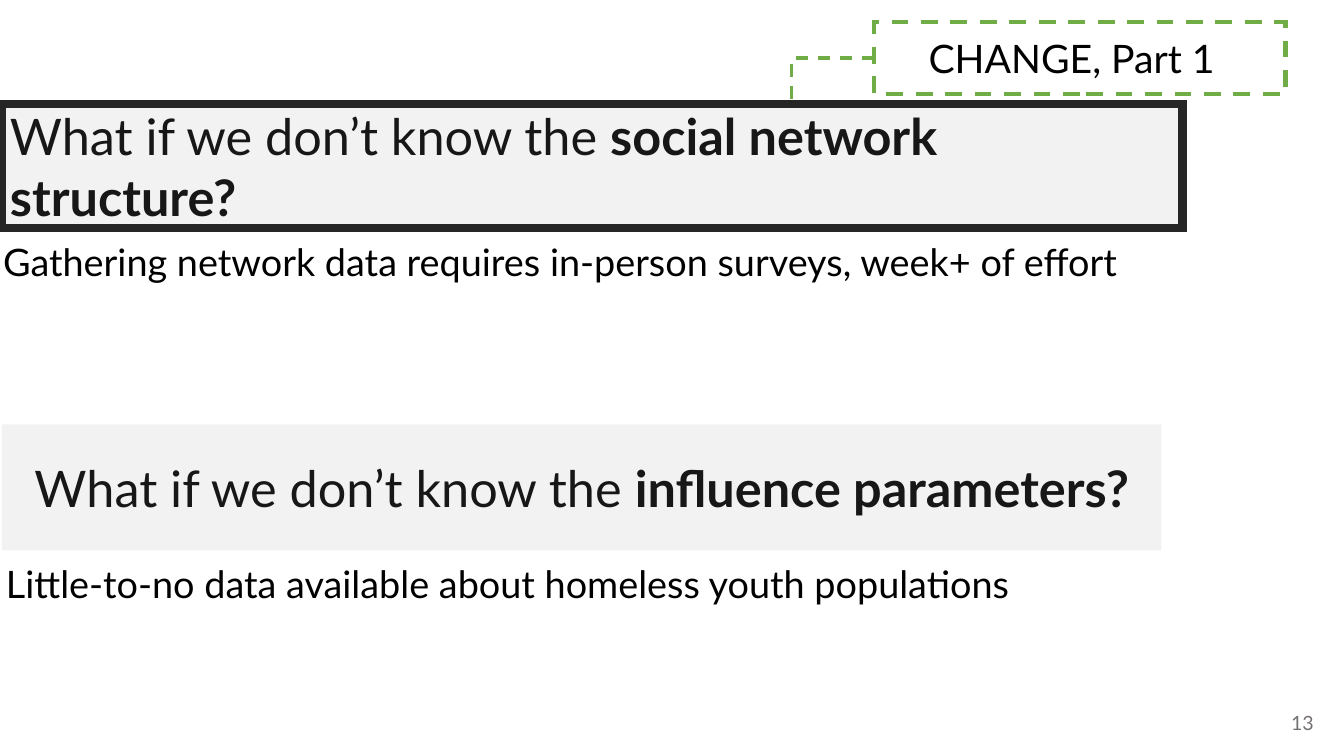
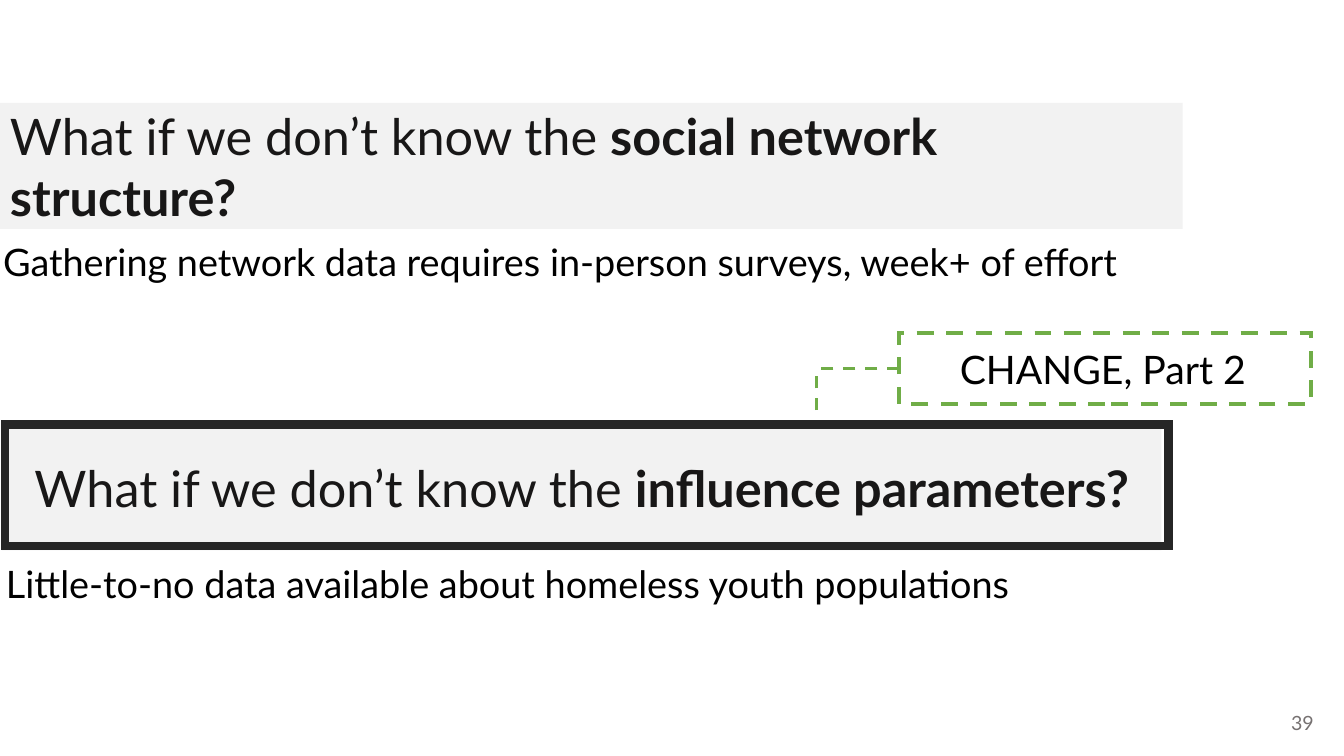
from dataclasses import dataclass

from lxml.etree import SubElement
from pptx import Presentation
from pptx.dml.color import RGBColor
from pptx.enum.dml import MSO_LINE
from pptx.enum.shapes import MSO_CONNECTOR, MSO_SHAPE
from pptx.enum.text import MSO_ANCHOR, PP_ALIGN
from pptx.oxml.ns import qn
from pptx.util import Inches, Pt

FONT = "Lato"
BLACK, INK, GREY = "000000", "181717", "767171"
PALE, DARK, GREEN = "F2F2F2", "262626", "70AD47"
LEAD = "What if we don’t know the "


@dataclass
class Box:
    left: float
    top: float
    width: float
    height: float

    def emu(self) -> tuple:
        return tuple(map(Inches, (self.left, self.top, self.width, self.height)))


@dataclass
class Topic:
    band: Box
    focus: str
    align: PP_ALIGN
    note: Box
    detail: str
    frame: Box


@dataclass
class Tag:
    text: str
    box: Box
    inset: float
    foot: float


@dataclass
class Page:
    number: int
    active: int
    tag: Tag


TOPICS = [
    Topic(Box(0, 1.02, 11.73, 1.25), "social network structure?", PP_ALIGN.LEFT,
          Box(0.03, 2.32, 11.69, 0.57),
          "Gathering network data requires in-person surveys, week+ of effort",
          Box(0.02, 1.03, 11.71, 1.23)),
    Topic(Box(0.02, 4.21, 11.5, 1.25), "influence parameters?", PP_ALIGN.CENTER,
          Box(0.06, 5.51, 10.47, 0.56),
          "Little-to-no data available about homeless youth populations",
          Box(0.05, 4.21, 11.54, 1.21)),
]
PAGES = [
    Page(13, 0, Tag("CHANGE, Part 1", Box(8.67, 0.22, 4.08, 0.71), 0.54, 0.98)),
    Page(39, 1, Tag("CHANGE, Part 2", Box(8.92, 3.3, 4.08, 0.71), 0.6, 4.07)),
]


def color(code: str) -> RGBColor:
    return RGBColor.from_string(code)


def style(run, size: float, code: str, bold: bool = False) -> None:
    font = run.font
    font.name, font.size, font.bold = FONT, Pt(size), bold
    font.color.rgb = color(code)


def stroke(line, code: str, width: float, dashed: bool = False) -> None:
    line.color.rgb = color(code)
    line.width = Pt(width)
    if dashed:
        line.dash_style = MSO_LINE.DASH


def add_rect(slide, box: Box):
    """Add a rectangle without shadow, fill or line."""
    rect = slide.shapes.add_shape(MSO_SHAPE.RECTANGLE, *box.emu())
    rect.shadow.inherit = False
    rect.fill.background()
    rect.line.fill.background()
    return rect


def outline(rect, code: str, width: float, dashed: bool = False) -> None:
    """Draw the border with sharp corners."""
    stroke(rect.line, code, width, dashed)
    edge = rect._element.spPr.find(qn("a:ln"))
    SubElement(edge, qn("a:miter"), lim="800000")


def add_text(slide, box: Box, text: str, size: float, code: str):
    area = slide.shapes.add_textbox(*box.emu())
    frame = area.text_frame
    frame.word_wrap = True
    frame.text = text
    style(frame.paragraphs[0].runs[0], size, code)
    return frame


def add_line(slide, start: tuple, end: tuple):
    line = slide.shapes.add_connector(
        MSO_CONNECTOR.STRAIGHT, *map(Inches, start + end))
    stroke(line.line, GREEN, 2.25, True)
    SubElement(line._element.spPr, qn("a:effectLst"))
    return line


def add_topic(slide, topic: Topic) -> None:
    band = add_rect(slide, topic.band)
    band.fill.solid()
    band.fill.fore_color.rgb = color(PALE)
    frame = band.text_frame
    frame.word_wrap = True
    frame.vertical_anchor = MSO_ANCHOR.MIDDLE
    frame.text = LEAD
    para = frame.paragraphs[0]
    para.alignment = topic.align
    style(para.runs[0], 36, INK)
    focus = para.add_run()
    focus.text = topic.focus
    style(focus, 36, INK, True)
    note = add_text(slide, topic.note, topic.detail, 27, BLACK)
    note.margin_left = 0


def add_tag(slide, tag: Tag) -> None:
    """Add the dashed label and the bent line that leads down from it."""
    box = tag.box
    rect = add_rect(slide, box)
    outline(rect, GREEN, 3, True)
    frame = rect.text_frame
    frame.vertical_anchor = MSO_ANCHOR.MIDDLE
    frame.margin_left = Inches(tag.inset)
    frame.text = tag.text
    para = frame.paragraphs[0]
    para.alignment = PP_ALIGN.LEFT
    style(para.runs[0], 28, BLACK)
    mid = box.top + box.height / 2
    bend = box.left - 0.82
    arm = add_line(slide, (box.left, mid), (bend, mid))
    arm.begin_connect(rect, 1)
    add_line(slide, (bend, tag.foot), (bend, mid))


def add_number(slide, number: int) -> None:
    frame = add_text(slide, Box(10.13, 6.97, 3, 0.4), str(number), 14, GREY)
    frame.vertical_anchor = MSO_ANCHOR.MIDDLE
    frame.paragraphs[0].alignment = PP_ALIGN.RIGHT


def add_page(deck, page: Page) -> None:
    slide = deck.slides.add_slide(deck.slide_layouts[6])
    add_number(slide, page.number)
    for topic in TOPICS:
        add_topic(slide, topic)
    add_tag(slide, page.tag)
    outline(add_rect(slide, TOPICS[page.active].frame), DARK, 6)


def main() -> None:
    deck = Presentation()
    deck.slide_width, deck.slide_height = Inches(13.33), Inches(7.5)
    for page in PAGES:
        add_page(deck, page)
    deck.save("out.pptx")


if __name__ == "__main__":
    main()
